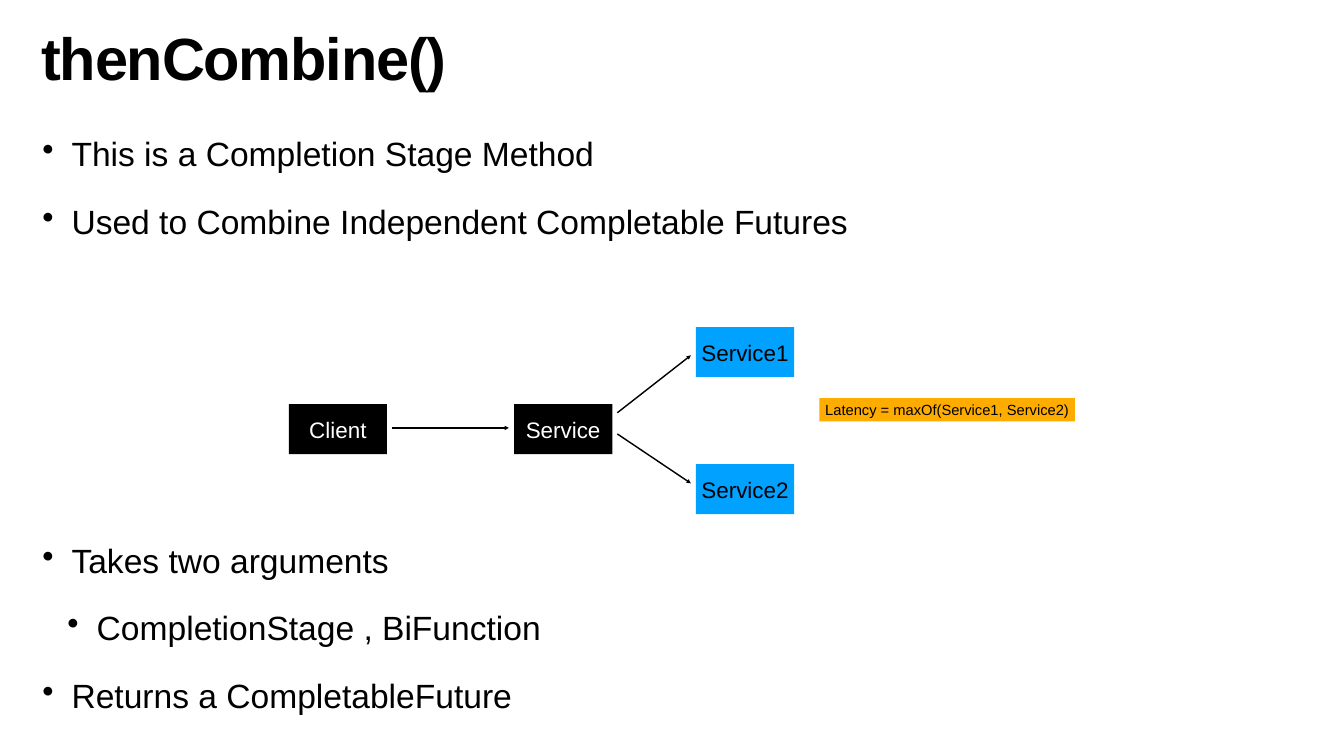
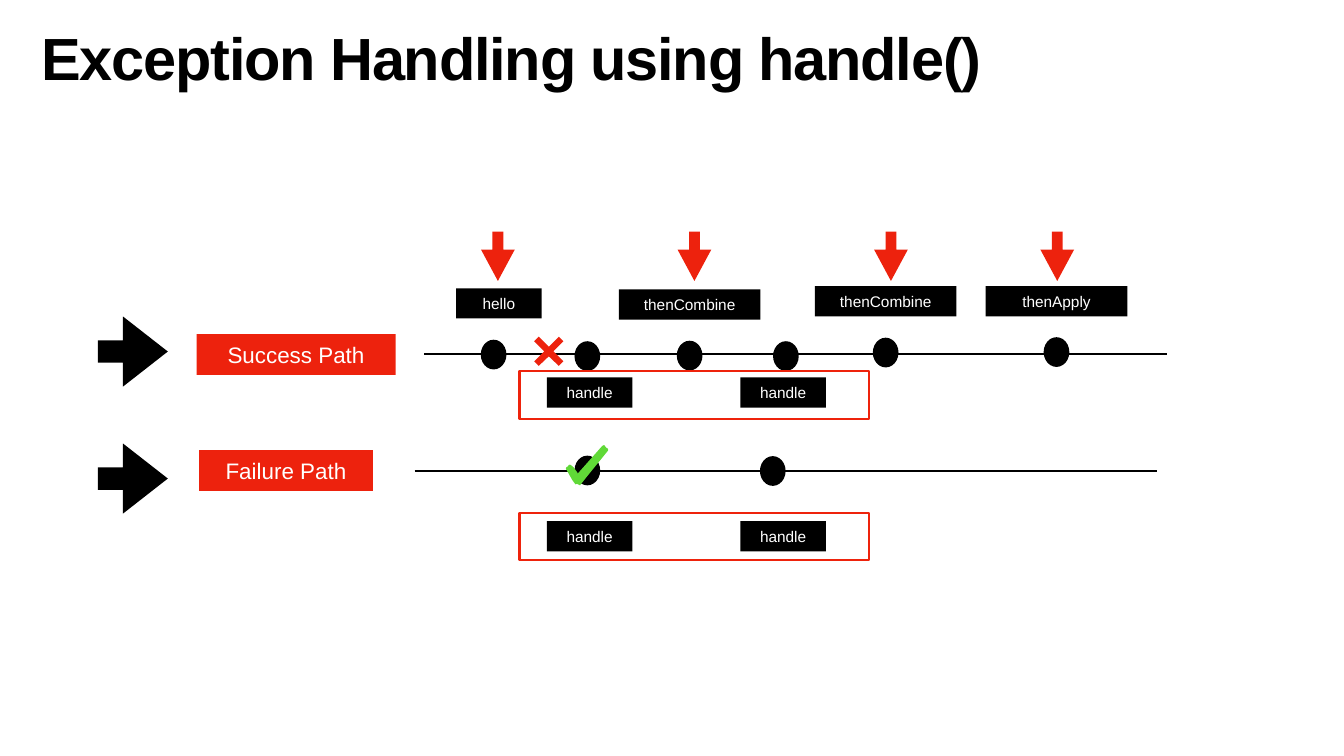
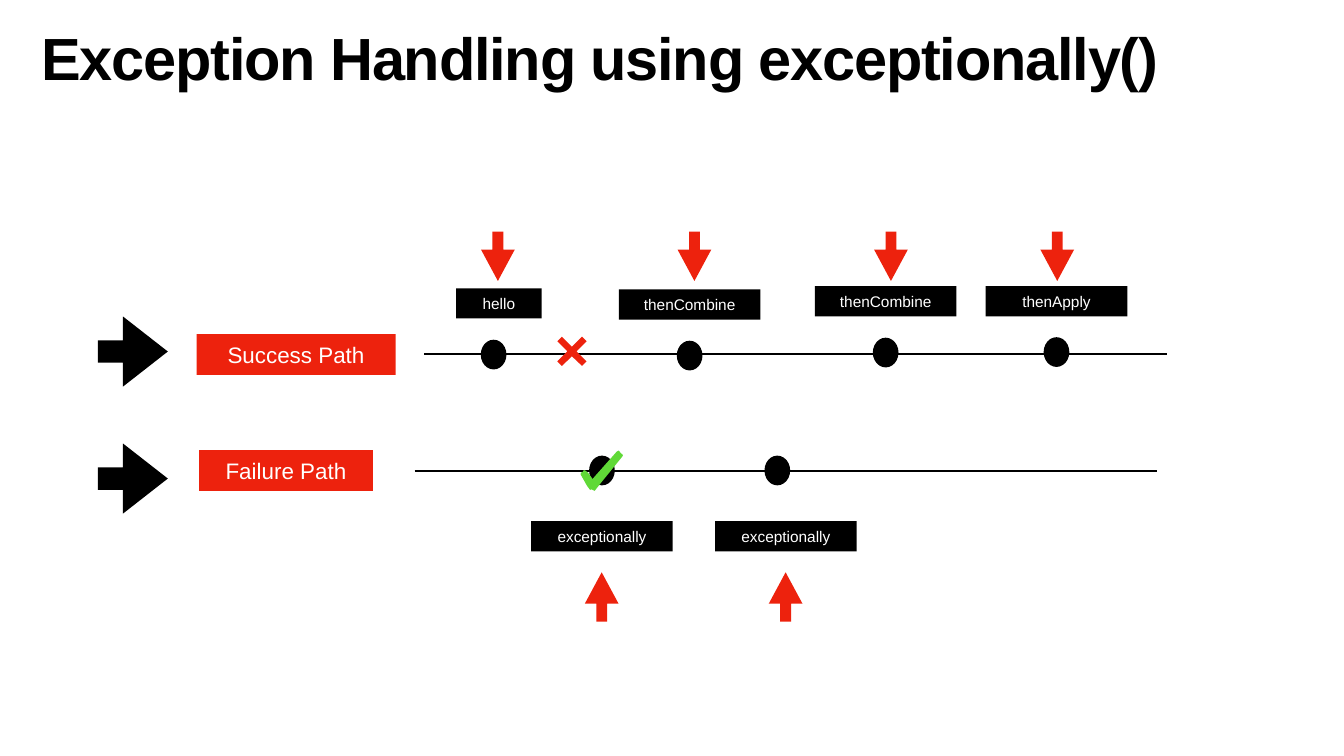
"""Build three slides on combining futures and handling exceptions."""
import dataclasses

import lxml.etree
import pptx
import pptx.dml.color
import pptx.enum.shapes
import pptx.enum.text
import pptx.oxml.ns
import pptx.util

PX = 9144
MSO = pptx.enum.shapes.MSO_SHAPE
ALIGN = pptx.enum.text.PP_ALIGN
ANCHOR = pptx.enum.text.MSO_ANCHOR
FIT = pptx.enum.text.MSO_AUTO_SIZE
RGB = pptx.dml.color.RGBColor.from_string
QN = pptx.oxml.ns.qn


@dataclasses.dataclass(frozen=True)
class Theme:
    font: str = "Arial"
    black: str = "000000"
    white: str = "FFFFFF"
    blue: str = "00A1FF"
    amber: str = "FEAD00"
    red: str = "ED220D"
    frame: str = "EE230C"
    green: str = "60D937"
    title: int = 85
    body: int = 48
    label: int = 32
    step: int = 22
    note: int = 21


theme = Theme()


def add(slide, kind, at, fill, text="", size=theme.step, ink=theme.white):
    """Add a preset shape, or an outline given as a tuple of points."""
    if isinstance(kind, tuple):
        pen = slide.shapes.build_freeform(*kind[0], scale=PX)
        pen.add_line_segments(kind[1:], close=True)
        shape = pen.convert_to_shape(at[0] * PX, at[1] * PX)
    else:
        shape = slide.shapes.add_shape(kind, *[n * PX for n in at])
    shape.shadow.inherit = False
    shape.fill.solid()
    shape.fill.fore_color.rgb = RGB(fill)
    shape.line.fill.background()
    if text:
        frame = shape.text_frame
        frame.margin_left = frame.margin_right = 6 * PX
        frame.margin_top = frame.margin_bottom = 6 * PX
        frame.vertical_anchor = ANCHOR.MIDDLE
        frame.word_wrap = True
        frame.text = text
        para = frame.paragraphs[0]
        para.alignment = ALIGN.CENTER
        para.font.name = theme.font
        para.font.size = pptx.util.Pt(size)
        para.font.color.rgb = RGB(ink)
    return shape


def join(slide, ends, width, arrow=False):
    """Draw a straight black line, with an arrowhead if asked."""
    line = slide.shapes.add_connector(
        pptx.enum.shapes.MSO_CONNECTOR.STRAIGHT, *[n * PX for n in ends])
    line.line.color.rgb = RGB(theme.black)
    line.line.width = pptx.util.Pt(width)
    if arrow:
        lxml.etree.SubElement(line.line._ln, QN("a:tailEnd"), type="triangle")
    lxml.etree.SubElement(line._element.spPr, QN("a:effectLst"))


deck = pptx.Presentation()
deck.slide_width, deck.slide_height = 2667 * PX, 1500 * PX

slides = []
for name in ("thenCombine()", "Exception Handling using handle()",
             "Exception Handling using exceptionally()"):
    slide = deck.slides.add_slide(deck.slide_layouts[5])
    title = slide.shapes.title
    title.left, title.top, title.width, title.height = [
        n * PX for n in (76, 64, 2554, 195)]
    frame = title.text_frame
    frame.margin_left = frame.margin_right = 6 * PX
    frame.margin_top = frame.margin_bottom = 6 * PX
    frame.vertical_anchor = ANCHOR.TOP
    frame.auto_size = FIT.NONE
    frame.text = name
    para = frame.paragraphs[0]
    para.alignment = ALIGN.LEFT
    para.line_spacing = 0.8
    para.font.name = theme.font
    para.font.size = pptx.util.Pt(theme.title)
    para.font.bold = True
    para.font.color.rgb = RGB(theme.black)
    para.runs[0]._r.get_or_add_rPr().set("spc", "-170")
    slides.append(slide)
combine, handle, except_ = slides

body = combine.shapes.add_textbox(*[n * PX for n in (78, 267, 2550, 1184)])
frame = body.text_frame
frame.word_wrap = True
frame.margin_left = frame.margin_right = 6 * PX
frame.margin_top = frame.margin_bottom = 6 * PX
points = (
    ("This is a Completion Stage Method", 0, 45),
    ("Used to Combine Independent Completable Futures", 0, 45),
    ("Takes two arguments", 0, 432),
    ("CompletionStage , BiFunction", 1, 45),
    ("Returns a CompletableFuture", 0, 45),
)
frame.text = "\n".join(text for text, level, gap in points)
for para, (text, level, gap) in zip(frame.paragraphs, points):
    para.level = level
    para.line_spacing = 0.9
    para.space_before = pptx.util.Pt(gap)
    props = para._p.get_or_add_pPr()
    props.set("marL", str((58 + 50 * level) * PX))
    props.set("indent", str(-58 * PX))
    lxml.etree.SubElement(props, QN("a:buChar"), char="•")
    para.font.name = theme.font
    para.font.size = pptx.util.Pt(theme.body)
    para.font.color.rgb = RGB(theme.black)

for text, left, top, fill, ink in (
        ("Client", 573, 802, theme.black, theme.white),
        ("Service", 1020, 802, theme.black, theme.white),
        ("Service1", 1381, 649, theme.blue, theme.black),
        ("Service2", 1381, 921, theme.blue, theme.black)):
    add(combine, MSO.RECTANGLE, (left, top, 195, 99), fill, text,
        theme.label, ink)
for ends in ((777, 849, 1010, 849), (1225, 819, 1371, 705),
             (1225, 861, 1371, 959)):
    join(combine, ends, 2, arrow=True)
note = add(combine, MSO.RECTANGLE, (1626, 790, 507, 46), theme.amber,
           "Latency = maxOf(Service1, Service2)", theme.note, theme.black)
note.text_frame.word_wrap = False
note.text_frame.auto_size = FIT.SHAPE_TO_FIT_TEXT

paths = (
    ("Success Path", (390, 663, 395, 81), (842, 703, 2316, 703), 628),
    ("Failure Path", (395, 893, 345, 81), (823, 934, 2296, 934), 880),
)
steps = (
    ("hello", (905, 572, 170, 60), (954, 674), 939),
    ("thenCombine", (1228, 574, 281, 60), (1343, 676), 1329),
    ("thenCombine", (1617, 568, 281, 60), (1732, 670), 1719),
    ("thenApply", (1956, 568, 281, 60), (2071, 669), 2049),
)
cross = ((9, 0), (0, 9), (20, 29), (0, 49), (9, 58), (29, 39),
         (49, 58), (58, 49), (38, 29), (58, 9), (49, 0), (29, 20))
tick = ((76, 0), (72, 2), (25, 55), (24, 57), (23, 55), (15, 44), (10, 40),
        (8, 39), (5, 40), (5, 42), (1, 44), (0, 47), (13, 70), (19, 78),
        (22, 77), (28, 80), (39, 66), (82, 13), (84, 10), (83, 7), (81, 6),
        (79, 4))
flows = (
    (handle, "handle", 170,
     ((1085, 1034), (1469, 1034), (1085, 749), (1469, 749)),
     ((1140, 904), (1508, 905), (1140, 677), (1534, 677)),
     (1017, 736), (), (1060, 668), (1123, 883)),
    (except_, "exceptionally", 281,
     ((1054, 1034), (1419, 1034)),
     ((1169, 904), (1517, 904)),
     (), (1145, 1510), (1106, 668), (1152, 894)),
)
for slide, word, width, tags, dots, frames, ups, fail, good in flows:
    for text, place, ends, top in paths:
        join(slide, ends, 3)
        add(slide, MSO.RECTANGLE, place, theme.red, text, theme.label)
        entry = add(slide, MSO.RIGHT_ARROW, (194, top, 139, 139), theme.black)
        entry.adjustments[0], entry.adjustments[1] = 0.32, 0.64
    for text, place, dot, left in steps:
        add(slide, MSO.RECTANGLE, place, theme.black, text)
    for left, top in tags:
        add(slide, MSO.RECTANGLE, (left, top, width, 60), theme.black, word)
    for left, top in [step[2] for step in steps] + list(dots):
        add(slide, MSO.OVAL, (left, top, 51, 59), theme.black)
    for top in frames:
        edge = add(slide, MSO.RECTANGLE, (1031, top, 694, 95), theme.white)
        edge.fill.background()
        edge.line.color.rgb = RGB(theme.frame)
        edge.line.width = pptx.util.Pt(3)
    downs = [(step[3], 475, 90) for step in steps]
    for left, top, turn in downs + [(left, 1151, 270) for left in ups]:
        arrow = add(slide, MSO.RIGHT_ARROW, (left, top, 98, 67), theme.red)
        arrow.adjustments[0], arrow.adjustments[1] = 0.32, 0.93
        arrow.rotation = turn
    add(slide, cross, fail, theme.red)
    add(slide, tick, good, theme.green)

deck.save("out.pptx")
